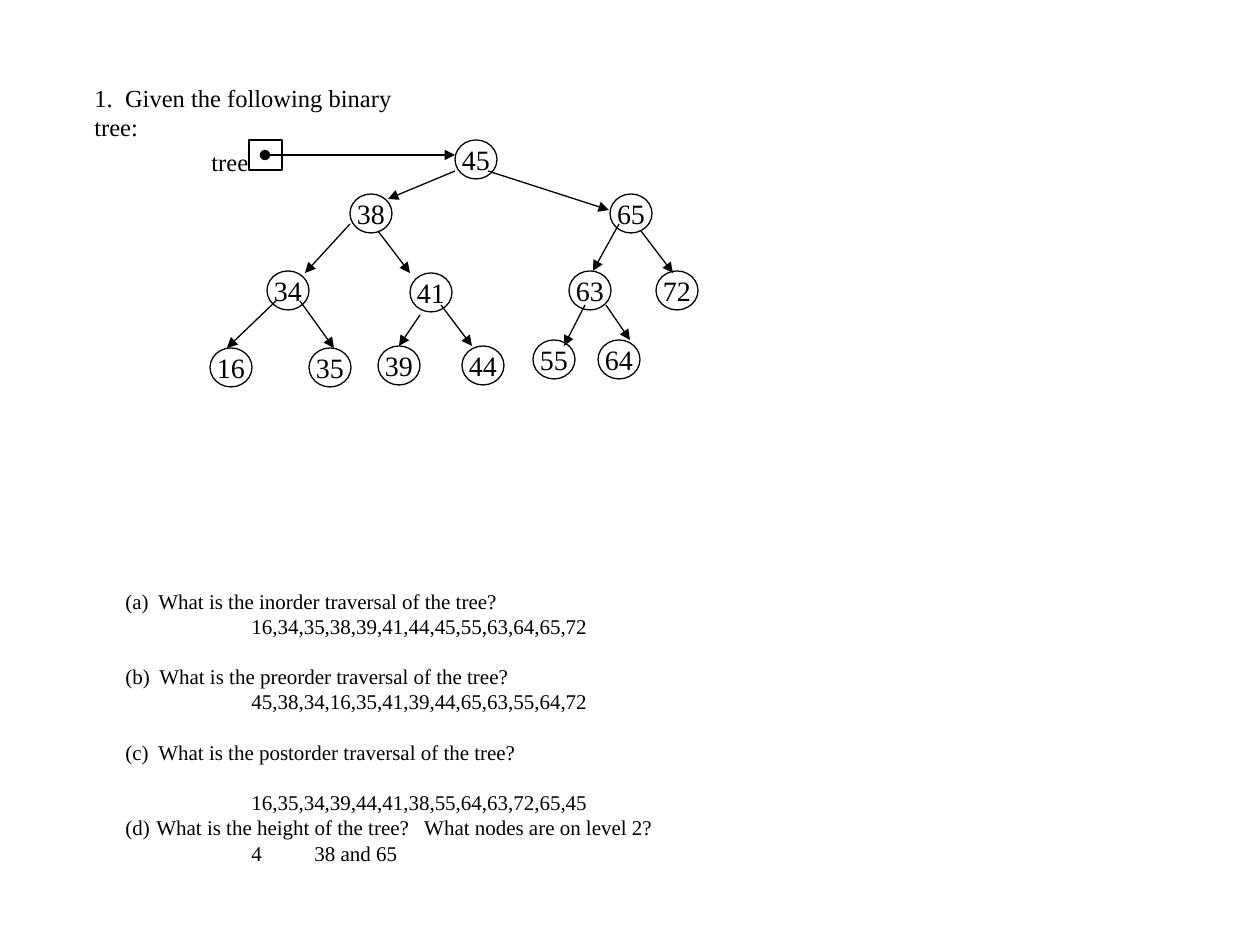
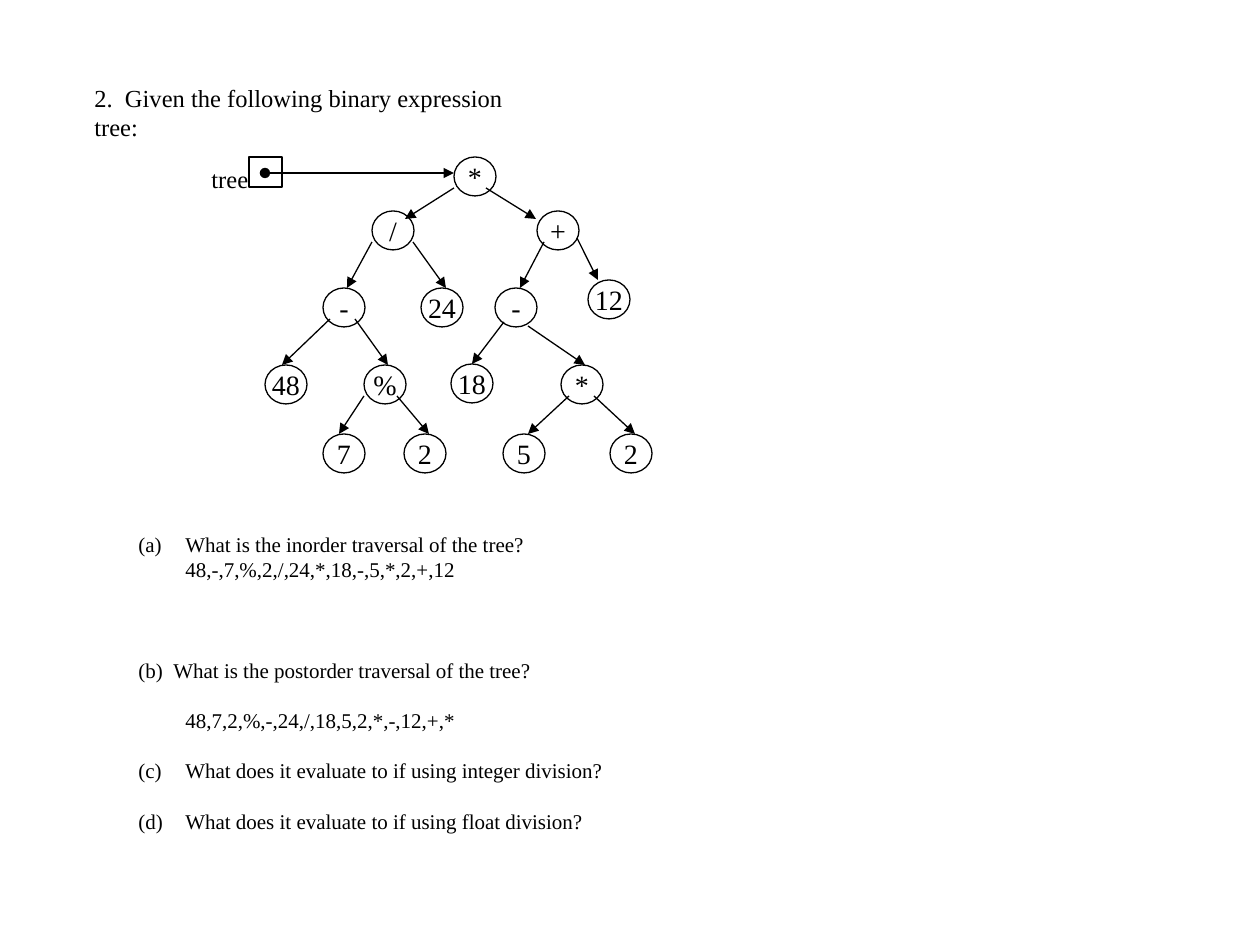
from lxml.etree import SubElement
from pptx import Presentation
from pptx.dml.color import RGBColor
from pptx.enum.shapes import MSO_CONNECTOR, MSO_SHAPE
from pptx.enum.text import MSO_ANCHOR, PP_ALIGN
from pptx.oxml.ns import qn
from pptx.util import Pt

BLACK = RGBColor(0, 0, 0)
FONT = "Times New Roman"
PIXEL = 914400 // 126
NODE_WIDTH, NODE_HEIGHT = 42, 39
POINTER_LEFT, POINTER_WIDTH, POINTER_HEIGHT = 249, 33, 30
BODY_LINE = 14.4

EXERCISES = [
    {
        "title": "1.  Given the following binary tree:",
        "title_width": 360,
        "root": (455, 140),
        "pointer_y": 155,
        "nodes": [
            ("45", 455, 140), ("38", 350, 194), ("65", 610, 194),
            ("34", 267, 271), ("41", 410, 273), ("63", 569, 271), ("72", 656, 271),
            ("16", 210, 348), ("35", 309, 348), ("39", 378, 346), ("44", 462, 346),
            ("55", 533, 340), ("64", 598, 340),
        ],
        "edges": [
            (455, 171, 388, 199), (488, 171, 609, 210),
            (350, 224, 305, 273), (378, 231, 410, 273),
            (619, 224, 593, 271), (641, 231, 673, 273),
            (276, 301, 227, 348), (300, 301, 334, 348),
            (420, 315, 399, 346), (441, 305, 472, 346),
            (585, 305, 564, 346), (606, 305, 630, 340),
        ],
        "body": (113, 582, 600, 292),
        "questions": [
            (1, 33, 0, "What is the inorder traversal of the tree?"),
            (None, 126, 0, "16,34,35,38,39,41,44,45,55,63,64,65,72"),
            (2, 34, 1, "What is the preorder traversal of the tree?"),
            (None, 126, 0, "45,38,34,16,35,41,39,44,65,63,55,64,72"),
            (3, 33, 1, "What is the postorder traversal of the tree?"),
            (None, 126, 1, "16,35,34,39,44,41,38,55,64,63,72,65,45"),
            (4, 31, 0, "What is the height of the tree?   What nodes are on level 2?"),
            (None, 126, 0, "4\t38 and 65"),
        ],
    },
    {
        "title": "2.  Given the following binary expression tree:",
        "title_width": 470,
        "root": (454, 157),
        "pointer_y": 173,
        "nodes": [
            ("*", 454, 157), ("/", 372, 211), ("+", 537, 211),
            ("-", 323, 288), ("24", 421, 288), ("-", 495, 288), ("12", 588, 280),
            ("48", 265, 365), ("%", 364, 365), ("18", 451, 364), ("*", 561, 365),
            ("7", 323, 434), ("2", 404, 434), ("5", 503, 434), ("2", 610, 434),
        ],
        "edges": [
            (454, 188, 405, 219), (486, 188, 536, 219),
            (372, 242, 347, 288), (413, 242, 446, 288),
            (544, 242, 520, 288), (577, 238, 598, 280),
            (330, 319, 282, 365), (355, 319, 388, 365),
            (504, 322, 472, 364), (528, 326, 585, 365),
            (364, 396, 339, 434), (397, 396, 429, 434),
            (569, 396, 528, 434), (594, 396, 635, 434),
        ],
        "body": (126, 525, 600, 394),
        "questions": [
            (1, 47, 0, "What is the inorder traversal of the tree?"),
            (None, 47, 0, "48,-,7,%,2,/,24,*,18,-,5,*,2,+,12"),
            (2, 35, 3, "What is the postorder traversal of the tree?"),
            (None, 47, 1, "48,7,2,%,-,24,/,18,5,2,*,-,12,+,*"),
            (3, 47, 1, "What does it evaluate to if using integer division?"),
            (4, 47, 1, "What does it evaluate to if using float division?"),
        ],
    },
]


def write(paragraph, text, size):
    paragraph.text = text
    paragraph.font.name = FONT
    paragraph.font.size = Pt(size)
    paragraph.font.color.rgb = BLACK


def add_arrow(slide, points, oval_start=False):
    connector = slide.shapes.add_connector(
        MSO_CONNECTOR.STRAIGHT, *[value * PIXEL for value in points])
    connector.line.color.rgb = BLACK
    connector.line.width = Pt(0.75)
    line = connector.line._get_or_add_ln()
    if oval_start:
        SubElement(line, qn("a:headEnd"), type="oval")
    SubElement(line, qn("a:tailEnd"), type="triangle")
    SubElement(connector._element.spPr, qn("a:effectLst"))


presentation = Presentation()
presentation.slide_width = 1260 * PIXEL
presentation.slide_height = 945 * PIXEL

for exercise in EXERCISES:
    slide = presentation.slides.add_slide(presentation.slide_layouts[6])
    root_left, root_top = exercise["root"]
    pointer_y = exercise["pointer_y"]

    labels = [
        (exercise["title"], 82, 76, exercise["title_width"], 72),
        ("tree", 199, root_top, 70, 42),
    ]
    for text, *box in labels:
        frame = slide.shapes.add_textbox(*[value * PIXEL for value in box]).text_frame
        frame.word_wrap = True
        write(frame.paragraphs[0], text, 14)
        frame.paragraphs[0].line_spacing = Pt(17)

    body_box = [value * PIXEL for value in exercise["body"]]
    frame = slide.shapes.add_textbox(*body_box).text_frame
    frame.word_wrap = True
    for index, (number, indent, gap_lines, text) in enumerate(exercise["questions"]):
        paragraph = frame.add_paragraph() if index else frame.paragraphs[0]
        properties = paragraph._p.get_or_add_pPr()
        properties.set("marL", str(indent * PIXEL))
        properties.set("indent", "0")
        if number:
            properties.set("indent", str(-indent * PIXEL))
            SubElement(properties, qn("a:buFontTx"))
            SubElement(properties, qn("a:buAutoNum"),
                       type="alphaLcParenBoth", startAt=str(number))
        write(paragraph, text, 12)
        paragraph.line_spacing = Pt(BODY_LINE)
        paragraph.space_before = Pt(BODY_LINE * gap_lines)

    outlines = [(MSO_SHAPE.OVAL, text, left, top, NODE_WIDTH, NODE_HEIGHT)
                for text, left, top in exercise["nodes"]]
    outlines.append((MSO_SHAPE.RECTANGLE, "", POINTER_LEFT, root_top,
                     POINTER_WIDTH, POINTER_HEIGHT))
    for kind, text, *box in outlines:
        shape = slide.shapes.add_shape(kind, *[value * PIXEL for value in box])
        shape.shadow.inherit = False
        shape.fill.background()
        shape.line.color.rgb = BLACK
        shape.line.width = Pt(0.75)
        if text:
            shape.text_frame.word_wrap = False
            shape.text_frame.vertical_anchor = MSO_ANCHOR.MIDDLE
            paragraph = shape.text_frame.paragraphs[0]
            paragraph.alignment = PP_ALIGN.CENTER
            write(paragraph, text, 16)

    for edge in exercise["edges"]:
        add_arrow(slide, edge)
    add_arrow(slide, (265, pointer_y, root_left, pointer_y), oval_start=True)

presentation.save("out.pptx")
